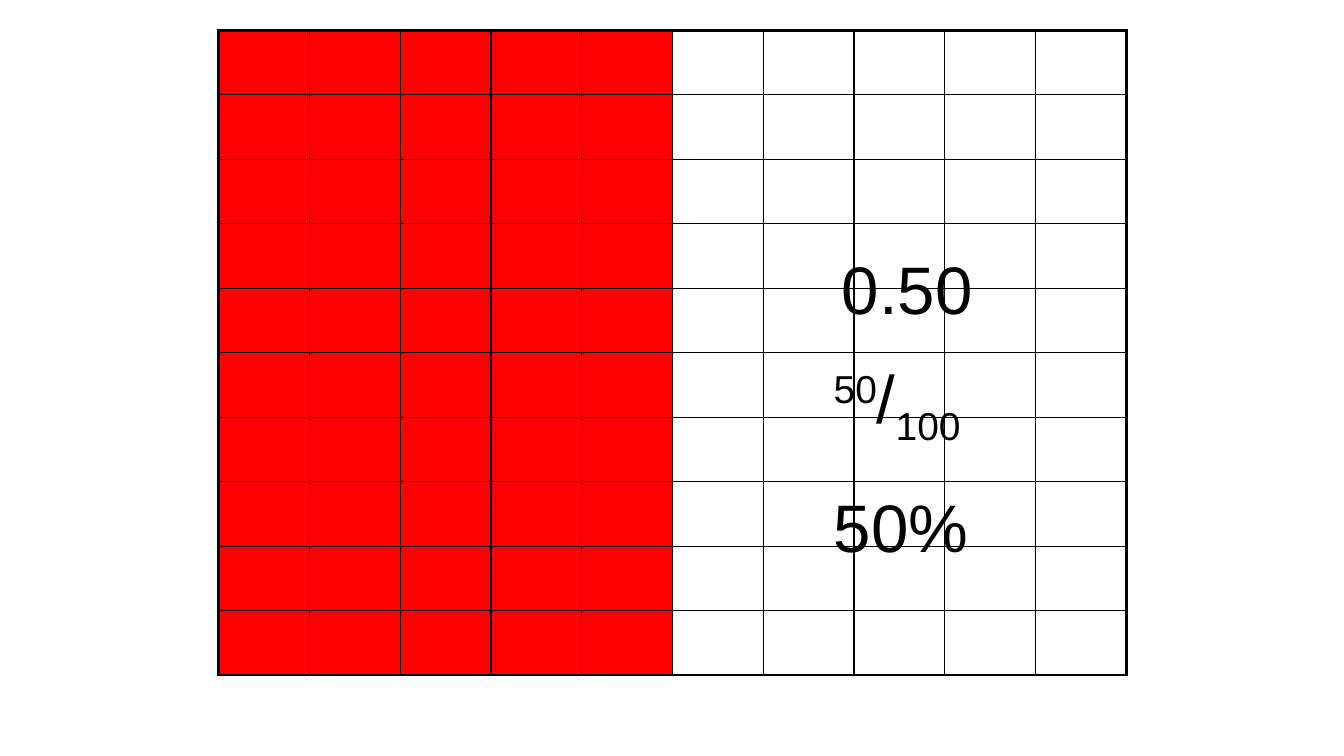
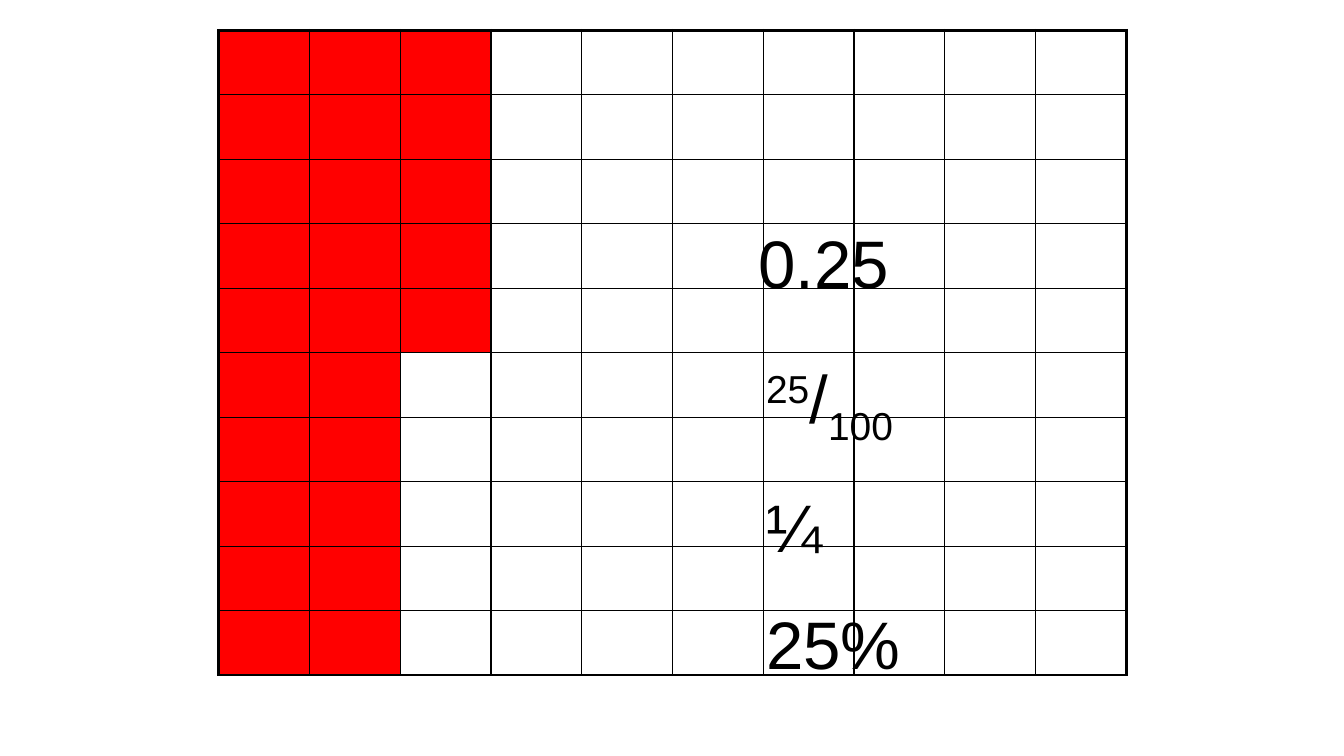
from lxml import etree
from pptx import Presentation
from pptx.dml.color import RGBColor
from pptx.enum.text import MSO_ANCHOR
from pptx.oxml.ns import qn
from pptx.util import Emu, Pt

BLACK = RGBColor(0x00, 0x00, 0x00)
RED = RGBColor(0xFF, 0x00, 0x00)
TOP = MSO_ANCHOR.TOP
EMU_PER_PX = 9144
BLANK_LAYOUT = 6
GRID_SIZE = 10
SUPERSCRIPT, NORMAL, SUBSCRIPT = 30, 0, -25


def px(length):
    return Emu(length * EMU_PER_PX)


class HundredGridDeck:
    font_name = "Arial"
    font_size = Pt(48)
    paragraph_gap = Pt(26)
    inner_line = Pt(1)
    outer_line = Pt(2.25)
    grid_left, grid_top = 217, 30
    cell_width, cell_height = 90, 64

    def __init__(self):
        self.presentation = Presentation()
        self.presentation.slide_width = px(1333)
        self.presentation.slide_height = px(750)
        self.slide = None

    def add_slide(self):
        layout = self.presentation.slide_layouts[BLANK_LAYOUT]
        self.slide = self.presentation.slides.add_slide(layout)

    def set_borders(self, cell, row, column):
        last = GRID_SIZE - 1
        outer_sides = {"a:lnL": column == 0, "a:lnR": column == last,
                       "a:lnT": row == 0, "a:lnB": row == last}
        properties = cell._tc.get_or_add_tcPr()
        for tag, is_outer in outer_sides.items():
            width = self.outer_line if is_outer else self.inner_line
            line = etree.SubElement(properties, qn(tag), w=str(int(width)))
            fill = etree.SubElement(line, qn("a:solidFill"))
            etree.SubElement(fill, qn("a:srgbClr"), val=str(BLACK))

    def add_grid(self, shaded_count):
        frame = self.slide.shapes.add_table(
            GRID_SIZE, GRID_SIZE, px(self.grid_left), px(self.grid_top),
            px(self.cell_width * GRID_SIZE), px(self.cell_height * GRID_SIZE))
        table = frame.table
        table.first_row = False
        table.horz_banding = False
        for row in range(GRID_SIZE):
            for column in range(GRID_SIZE):
                cell = table.cell(row, column)
                self.set_borders(cell, row, column)
                if column * GRID_SIZE + row < shaded_count:
                    cell.fill.solid()
                    cell.fill.fore_color.rgb = RED
                else:
                    cell.fill.background()

    def add_text(self, left, top, width, height, paragraphs):
        shape = self.slide.shapes.add_textbox(
            px(left), px(top), px(width), px(height))
        text_frame = shape.text_frame
        text_frame.word_wrap = True
        text_frame.vertical_anchor = TOP
        text_frame.margin_top = px(12)
        for index, runs in enumerate(paragraphs):
            if index == 0:
                paragraph = text_frame.paragraphs[0]
            else:
                paragraph = text_frame.add_paragraph()
                paragraph.space_before = self.paragraph_gap
            for text, baseline in runs:
                self.add_run(paragraph, text, baseline)

    def add_run(self, paragraph, text, baseline):
        run = paragraph.add_run()
        run.text = text
        run.font.name = self.font_name
        run.font.size = self.font_size
        run.font.color.rgb = BLACK
        if baseline != NORMAL:
            run._r.get_or_add_rPr().set("baseline", str(baseline * 1000))


def plain(text):
    return [(text, NORMAL)]


def hundredths(count):
    return [(str(count), SUPERSCRIPT), ("/", NORMAL), ("100", SUBSCRIPT)]


def main():
    deck = HundredGridDeck()

    deck.add_slide()
    deck.add_grid(50)
    deck.add_text(817, 342, 267, 210, [hundredths(50), plain("50%")])
    deck.add_text(825, 233, 225, 90, [plain("0.50")])

    deck.add_slide()
    deck.add_grid(25)
    deck.add_text(750, 342, 333, 330,
                  [hundredths(25), plain("¼"), plain("25%")])
    deck.add_text(742, 208, 242, 90, [plain("0.25")])

    deck.presentation.save("out.pptx")


if __name__ == "__main__":
    main()
